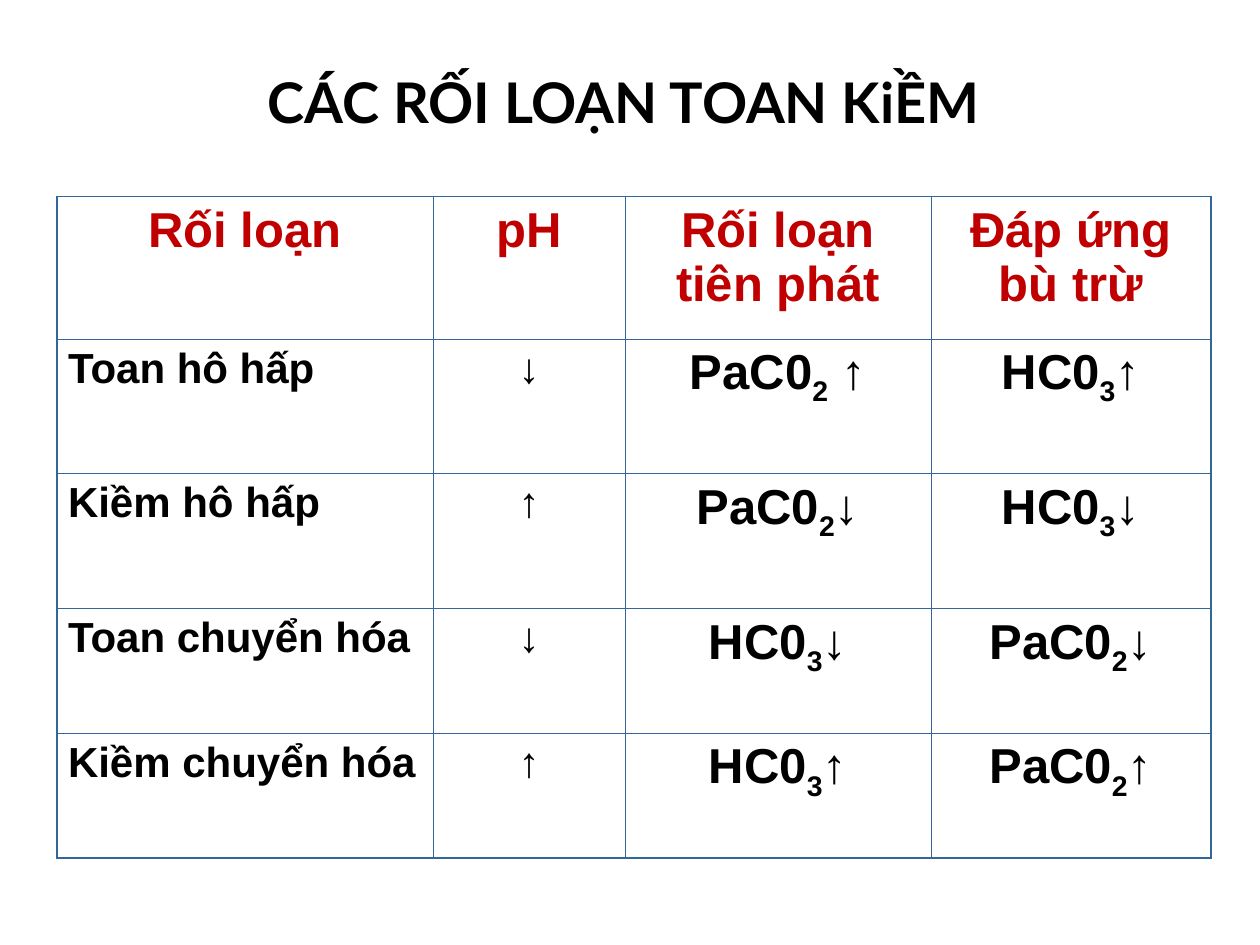
from lxml.etree import SubElement
from pptx import Presentation
from pptx.dml.color import RGBColor
from pptx.enum.text import MSO_ANCHOR as Anchor, MSO_AUTO_SIZE as AutoSize, PP_ALIGN as Align
from pptx.oxml.ns import qn
from pptx.util import Inches, Pt

BLACK = RGBColor(0x00, 0x00, 0x00)
RED = RGBColor(0xC0, 0x00, 0x00)
BLUE = RGBColor(0x33, 0x66, 0x99)
THIN, THICK = Pt(0.45), Pt(1.08)

WIDTH, HEIGHT = 10, 7.5
TITLE_BOX = (0.7, 0.08, 8.5, 1.04)
TABLE_BOX = (0.45, 1.56, 9.16, 5.25)
COLUMN_SHARES = (2.99, 1.52, 2.43, 2.22)
ROW_SHARES = (1.13, 1.07, 1.07, 0.99, 0.99)

TITLE_FONT = {"name": "Lato", "size": Pt(32), "bold": True}
HEADER_FONT = {"name": "Arial", "size": Pt(28), "bold": True}
FORMULA_FONT = HEADER_FONT
LABEL_FONT = {"name": "Arial", "size": Pt(24), "bold": True}

CO2, HCO3 = ("PaC0", "2"), ("HC0", "3")
HEADINGS = ("Rối loạn", "pH", "Rối loạn tiên phát", "Đáp ứng bù trừ")
DISORDERS = (
    ("Toan hô hấp", "↓", (*CO2, " ↑"), (*HCO3, "↑")),
    ("Kiềm hô hấp", "↑", (*CO2, "↓"), (*HCO3, "↓")),
    ("Toan chuyển hóa", "↓", (*HCO3, "↓"), (*CO2, "↓")),
    ("Kiềm chuyển hóa", "↑", (*HCO3, "↑"), (*CO2, "↑")),
)


def add_run(paragraph, text, style, color):
    """Append a run with the given font values and colour."""
    run = paragraph.add_run()
    run.text = text
    for attribute, value in style.items():
        setattr(run.font, attribute, value)
    run.font.color.rgb = color
    return run


def split(total, shares):
    """Divide a length in inches in proportion to the shares."""
    return [Inches(total * share / sum(shares)) for share in shares]


def set_borders(cell, widths):
    """Draw the left, right, top and bottom borders of a cell."""
    properties = cell._tc.get_or_add_tcPr()
    for position, (side, width) in enumerate(zip("LRTB", widths)):
        line = SubElement(properties, qn(f"a:ln{side}"), w=str(width))
        fill = SubElement(line, qn("a:solidFill"))
        SubElement(fill, qn("a:srgbClr"), val=str(BLUE))
        properties.insert(position, line)


def fill_cell(cell, content, style, color, align):
    """Write plain text or a (base, subscript, arrow) formula in a cell."""
    cell.fill.background()
    cell.margin_left = cell.margin_right = Inches(0.09)
    paragraph = cell.text_frame.paragraphs[0]
    paragraph.alignment = align
    parts = (content,) if isinstance(content, str) else content
    for index, part in enumerate(parts):
        run = add_run(paragraph, part, style, color)
        if index == 1:
            run.font._element.set("baseline", "-25000")


def place_title(slide, box):
    """Put the slide title in its box, resting on the bottom edge."""
    title = slide.shapes.title
    title.left, title.top, title.width, title.height = map(Inches, box)
    frame = title.text_frame
    frame.auto_size = AutoSize.NONE
    frame.vertical_anchor = Anchor.BOTTOM
    paragraph = frame.paragraphs[0]
    paragraph.alignment = Align.CENTER
    add_run(paragraph, "CÁC RỐI LOẠN TOAN KiỀM", TITLE_FONT, BLACK)


def place_disorders(slide, box):
    """Build the table of acid-base disorders inside the box."""
    rows = (HEADINGS, *DISORDERS)
    last_row, last_column = len(rows) - 1, len(HEADINGS) - 1
    table = slide.shapes.add_table(len(rows), len(HEADINGS), *map(Inches, box)).table
    table.first_row = table.horz_banding = False
    for column, width in zip(table.columns, split(box[2], COLUMN_SHARES)):
        column.width = width
    for row, height in zip(table.rows, split(box[3], ROW_SHARES)):
        row.height = height

    for r, contents in enumerate(rows):
        for c, content in enumerate(contents):
            cell = table.cell(r, c)
            if r == 0:
                style, color = HEADER_FONT, RED
            else:
                style, color = LABEL_FONT if c < 2 else FORMULA_FONT, BLACK
            align = Align.LEFT if r and c == 0 else Align.CENTER
            fill_cell(cell, content, style, color, align)
            outer = (c == 0, c == last_column, r == 0, r == last_row)
            set_borders(cell, [THICK if edge else THIN for edge in outer])


def main():
    """Build the slide and save it."""
    deck = Presentation()
    deck.slide_width, deck.slide_height = Inches(WIDTH), Inches(HEIGHT)
    slide = deck.slides.add_slide(deck.slide_layouts[5])
    place_title(slide, TITLE_BOX)
    place_disorders(slide, TABLE_BOX)
    deck.save("out.pptx")


if __name__ == "__main__":
    main()
